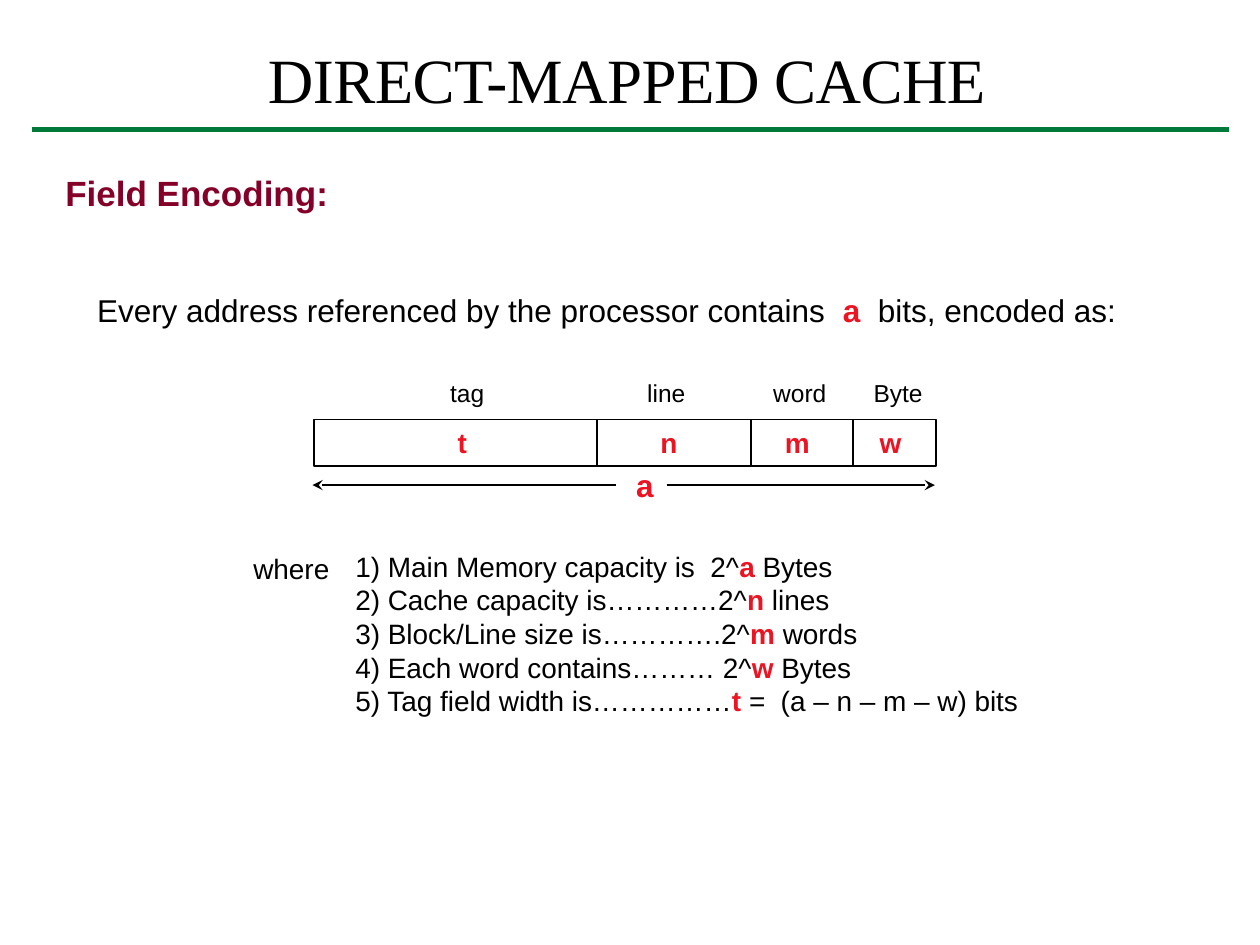
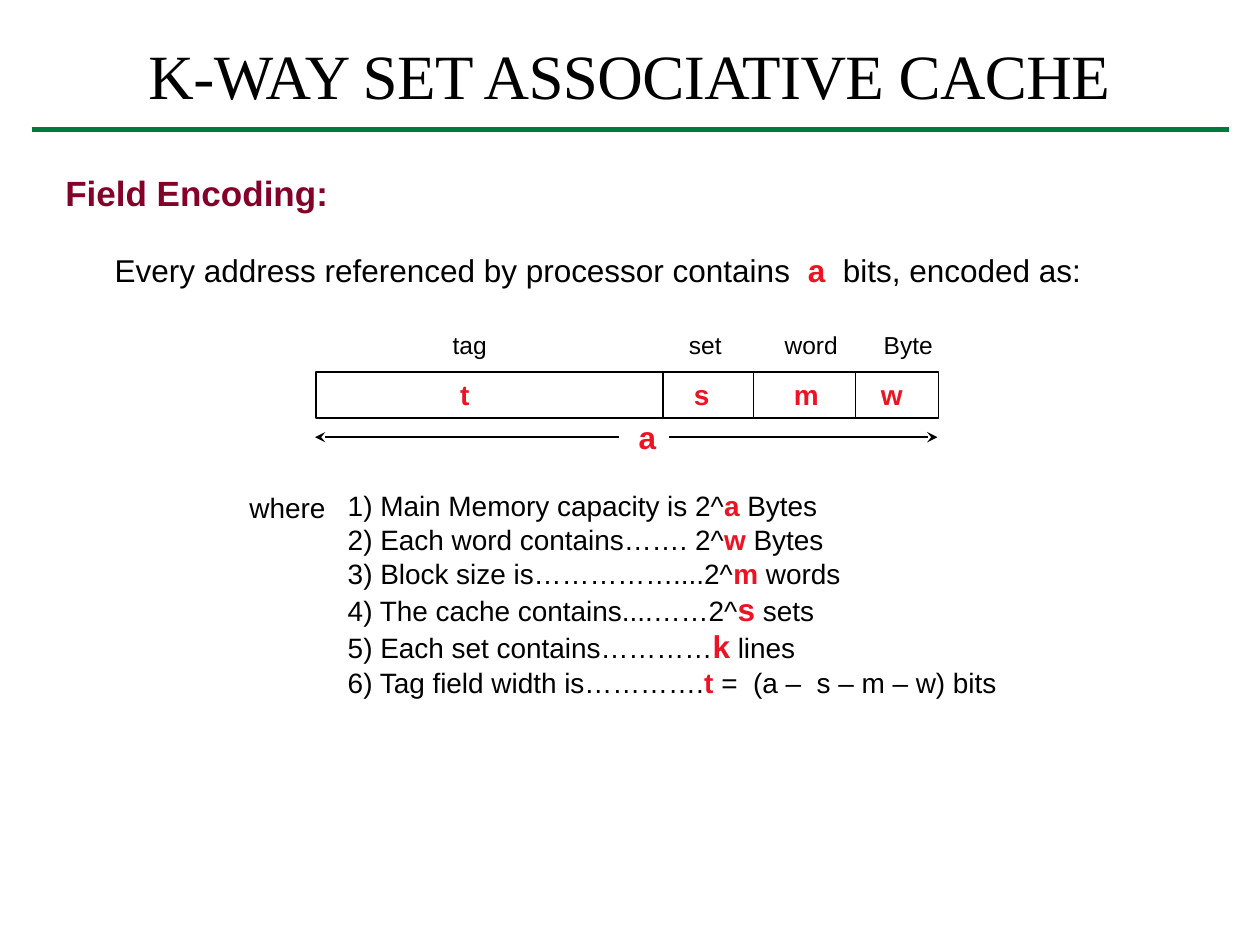
from dataclasses import dataclass
from lxml.etree import SubElement as Sub
from pptx import Presentation
from pptx.dml.color import RGBColor as Rgb
from pptx.enum.shapes import MSO_CONNECTOR as Conn, MSO_SHAPE as Kind
from pptx.enum.text import MSO_ANCHOR as Anchor, MSO_AUTO_SIZE as Auto, PP_ALIGN as Align
from pptx.oxml.ns import qn
from pptx.util import Emu, Pt

SCALE = 9144
BLACK, RED, WINE, GREEN = "000000", "EC1322", "840028", "007A3A"
SANS, SERIF = "Arial", "Times New Roman"
WIDE, TIGHT = (10, 5), (7, 3)


@dataclass
class Field:
    name: str
    bit: str
    name_x: int
    bit_x: int
    end: int


@dataclass
class Page:
    title: str
    head: tuple[int, int]
    intro: str
    lead: tuple[int, int, int]
    where: tuple[int, int]
    facts: list[str]
    list_box: tuple[int, int, int, int]
    origin: tuple[int, int]
    fields: list[Field]
    big: str = ""


PAGES = [
    Page(
        "DIRECT-MAPPED CACHE", (16, 34),
        "Every address referenced by the processor contains  *a*  bits, encoded as:",
        (16, 228, 918), (194, 435),
        [
            "1) Main Memory capacity is  2^*a* Bytes",
            "2) Cache capacity is…………2^*n* lines",
            "3) Block/Line size is………….2^*m* words",
            "4) Each word contains……… 2^*w* Bytes",
            "5) Tag field width is……………*t *=  (a – n – m – w) bits",
        ],
        (275, 433, 587, 158), (249, 333),
        [
            Field("tag", "t", 122, 118, 225),
            Field("line", "n", 280, 282, 347),
            Field("word", "m", 386, 384, 428),
            Field("Byte", "w", 464, 458, 494),
        ],
    ),
    Page(
        "K-WAY SET ASSOCIATIVE CACHE", (18, 31),
        "Every address referenced by processor contains  *a*  bits, encoded as:",
        (30, 196, 874), (191, 386),
        [
            "1) Main Memory capacity is 2^*a* Bytes",
            "2) Each word contains……. 2^*w* Bytes",
            "3) Block size is……………....2^*m* words",
            "4) The cache contains....……2^*s* sets",
            "5) Each set contains…………*k* lines",
            "6) Tag field width is………….*t *=  (a –  s – m – w) bits",
        ],
        (269, 385, 587, 192), (251, 295),
        [
            Field("tag", "t", 122, 118, 275),
            Field("set", "s", 309, 306, 347),
            Field("word", "m", 393, 389, 428),
            Field("Byte", "w", 470, 457, 494),
        ],
        "sk",
    ),
]


def px(num: int) -> Emu:
    return Emu(num * SCALE)


def tint(code: str) -> Rgb:
    return Rgb.from_string(code)


def write(shape, *lines: str, size: int = 16, color: str = BLACK, bold: bool = False,
          font: str = SANS, pad: tuple[int, int] = WIDE, align=Align.LEFT,
          lead: float | None = None, track: int = 0, indent: int = 0,
          tabs: tuple[int, ...] = (), big: str = "") -> None:
    frame = shape.text_frame
    frame.word_wrap, frame.auto_size = True, Auto.NONE
    frame.vertical_anchor = Anchor.TOP
    frame.margin_left = frame.margin_right = px(pad[0])
    frame.margin_top = frame.margin_bottom = px(pad[1])
    for row, line in enumerate(lines):
        para = frame.add_paragraph() if row else frame.paragraphs[0]
        para.alignment = align
        if lead:
            para.line_spacing = lead
        props = para._p.get_or_add_pPr()
        if indent:
            para.level = 1
            props.set("marL", str(px(indent)))
            props.set("indent", "0")
        if tabs:
            stops = Sub(props, qn("a:tabLst"))
            for tab in tabs:
                Sub(stops, qn("a:tab"), pos=str(px(tab)), algn="ctr")
        for part, text in enumerate(line.split("*")):
            if not text:
                continue
            hot = part % 2 == 1
            run = para.add_run()
            run.text = text
            style = run.font
            style.name, style.bold = font, bold or hot
            style.size = Pt(18 if hot and text in big else size)
            style.color.rgb = tint(RED if hot else color)
            if track:
                run._r.get_or_add_rPr().set("spc", str(track))


def box(slide, x: int, y: int, w: int, h: int, *lines: str, **style) -> None:
    write(slide.shapes.add_textbox(px(x), px(y), px(w), px(h)), *lines, **style)


def rule(slide, x: int, y: int, to_x: int, to_y: int, color: str = BLACK,
         width: int = 1, arrow: bool = False) -> None:
    line = slide.shapes.add_connector(Conn.STRAIGHT, px(x), px(y), px(to_x), px(to_y))
    line.line.color.rgb = tint(color)
    line.line.width = Pt(width)
    if arrow:
        Sub(line.line._get_or_add_ln(), qn("a:tailEnd"), type="stealth")
    Sub(line._element.spPr, qn("a:effectLst"))


def row_text(slots: list[str]) -> str:
    return "".join("\t" + slot for slot in slots)


def word_map(slide, x: int, y: int, fields: list[Field]) -> None:
    wide, high, shift, mid = fields[-1].end, 37, 33, y + 52
    bar = slide.shapes.add_shape(Kind.RECTANGLE, px(x), px(y), px(wide), px(high))
    bar.shadow.inherit = False
    bar.fill.background()
    bar.line.color.rgb = tint(BLACK)
    bar.line.width = Pt(1)
    write(bar, row_text([f.bit for f in fields]), color=RED, bold=True,
          tabs=tuple(f.bit_x - WIDE[0] for f in fields))
    for field in fields[:-1]:
        rule(slide, x + field.end, y, x + field.end, y + high)
    box(slide, x + 246, y + 32, 34, 40, "*a*", size=18)
    for start, end in ((280, 493), (240, -1)):
        rule(slide, x + start, mid, x + end, mid, arrow=True)
    box(slide, x + shift, y - 38, wide, 34, row_text([f.name for f in fields]), size=14,
        tabs=tuple(f.name_x - shift - WIDE[0] for f in fields))


def draw(deck, page: Page) -> None:
    slide = deck.slides.add_slide(deck.slide_layouts[5])
    title = slide.shapes.title
    title.left, title.top = map(px, page.head)
    title.width, title.height = px(963), px(85)
    write(title, page.title, size=36, font=SERIF, align=Align.CENTER, lead=0.9, track=-30)
    box(slide, 42, 131, 231, 44, "Field Encoding:", size=20, color=WINE, bold=True)
    box(slide, *page.lead, 36, page.intro, size=18, pad=TIGHT, indent=54)
    box(slide, *page.where, 81, 33, "where", pad=TIGHT)
    box(slide, *page.list_box, *page.facts, pad=TIGHT, big=page.big)
    word_map(slide, *page.origin, page.fields)
    rule(slide, 25, 103, 975, 103, GREEN, 3)


def main() -> None:
    deck = Presentation()
    deck.slide_width, deck.slide_height = px(1000), px(750)
    for page in PAGES:
        draw(deck, page)
    deck.save("out.pptx")


if __name__ == "__main__":
    main()
